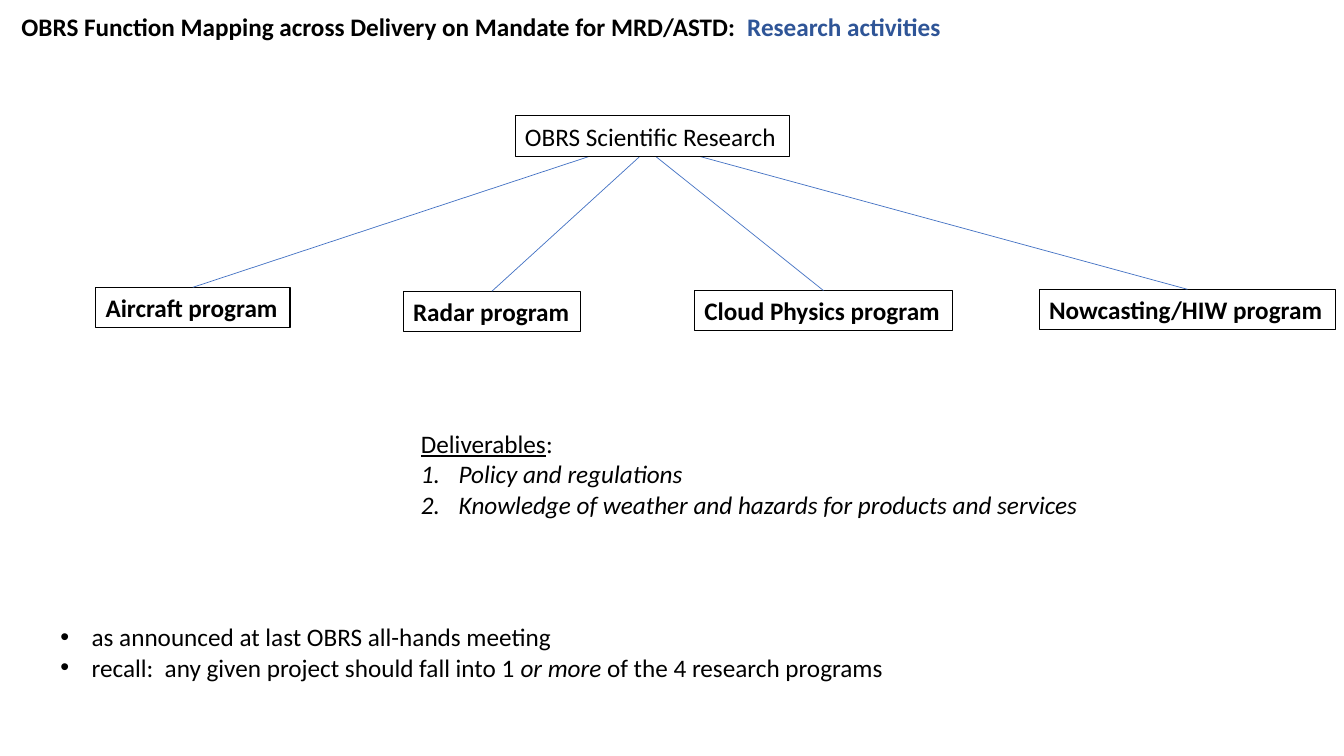
from lxml import etree
from pptx import Presentation
from pptx import util as u
from pptx.dml.color import RGBColor
from pptx.enum import shapes, text
from pptx.oxml.ns import qn

COLORS = {"text": "000000", "accent": "2F5597", "link": "4472C4", "box": "FFFFFF"}


class Board:
    font, size, box_height = "Calibri", u.Pt(18), 1.02

    def __init__(self, slide):
        self.s = slide

    def color(self, name):
        return RGBColor.from_string(COLORS[name])

    def place(self, sp, x, y, w, h):
        sp.left, sp.top, sp.width, sp.height = (u.Cm(v) for v in (x, y, w, h))

    def frame(self, sp, wrap=False):
        tf = sp.text_frame
        tf.word_wrap = wrap
        tf.auto_size = text.MSO_AUTO_SIZE.SHAPE_TO_FIT_TEXT
        tf.vertical_anchor = text.MSO_ANCHOR.TOP
        return tf

    def runs(self, p, parts):
        """Each part is (words, color, styles); styles holds any of b, i, u."""
        p.alignment = text.PP_ALIGN.LEFT
        for words, color, styles in parts:
            r = p.add_run()
            r.text = words
            f = r.font
            f.name, f.size = self.font, self.size
            f.color.rgb = self.color(color)
            f.bold, f.italic, f.underline = ("b" in styles, "i" in styles, "u" in styles)

    def title(self, parts, x, y, w, h):
        sp = self.s.shapes.title
        self.place(sp, x, y, w, h)
        tf = self.frame(sp, wrap=True)
        tf.margin_left = u.Cm(0.54)
        self.runs(tf.paragraphs[0], parts)

    def box(self, words, x, y, w, styles="", filled=False):
        sp = self.s.shapes.add_shape(
            shapes.MSO_SHAPE.RECTANGLE, *(u.Cm(v) for v in (x, y, w, self.box_height)))
        sp.shadow.inherit = False
        if filled:
            sp.fill.solid()
            sp.fill.fore_color.rgb = self.color("box")
        else:
            sp.fill.background()
        sp.line.color.rgb = self.color("text")
        sp.line.width = u.Pt(0.75)
        self.runs(self.frame(sp).paragraphs[0], [(words, "text", styles)])
        return sp

    def link(self, sp, x, y):
        """Line from the top middle of a box to a point."""
        c = self.s.shapes.add_connector(
            shapes.MSO_CONNECTOR.STRAIGHT, sp.left, sp.top, u.Cm(x), u.Cm(y))
        c.begin_connect(sp, 0)
        c.line.color.rgb = self.color("link")
        c.line.width = u.Pt(0.5)
        etree.SubElement(c._element.spPr, qn("a:effectLst"))

    def bullet(self, p, tag, indent, **attrs):
        pPr = p._p.get_or_add_pPr()
        pPr.set("marL", str(u.Cm(indent)))
        pPr.set("indent", str(-u.Cm(indent)))
        if tag == "a:buChar":
            etree.SubElement(pPr, qn("a:buFont")).set("typeface", "Arial")
        etree.SubElement(pPr, qn(tag), attrs)

    def text_list(self, items, x, y, w, h, indent, tag, **attrs):
        """Each item is (runs, whether it is marked)."""
        sp = self.s.shapes.add_textbox(*(u.Cm(v) for v in (x, y, w, h)))
        tf = self.frame(sp)
        for n, (parts, marked) in enumerate(items):
            p = tf.add_paragraph() if n else tf.paragraphs[0]
            if marked:
                self.bullet(p, tag, indent, **attrs)
            self.runs(p, parts)


def main():
    prs = Presentation()
    prs.slide_width, prs.slide_height = u.Cm(33.87), u.Cm(19.05)
    board = Board(prs.slides.add_slide(prs.slide_layouts[5]))

    # Title
    board.title([("OBRS Function Mapping across Delivery on Mandate for MRD/ASTD:  ", "text", "b"),
                 ("Research activities", "accent", "b")], 0, 0.15, 33.87, 1.02)

    # Programs, each linked to the research box: name, left, top, width, link end
    programs = [
        ("Aircraft program", 2.41, 7.24, 4.9, (15.34, 3.78)),
        ("Radar program", 10.16, 7.34, 4.47, (16.18, 3.89)),
        ("Cloud Physics program", 17.5, 7.32, 6.5, (16.46, 3.89)),
        ("Nowcasting/HIW program", 26.19, 7.29, 7.47, (17.15, 3.81)),
    ]
    for name, x, y, w, end in programs:
        board.link(board.box(name, x, y, w, "b"), *end)

    # Research box covers the link ends
    board.box("OBRS Scientific Research", 12.98, 2.92, 6.91, filled=True)

    # Deliverables
    board.text_list([
        ([("Deliverables", "text", "u"), (":", "text", "")], False),
        ([("Policy and regulations", "text", "i")], True),
        ([("Knowledge of weather and hazards for products and services", "text", "i")], True),
    ], 10.36, 10.67, 17.4, 2.57, 0.95, "a:buAutoNum", type="arabicPeriod")

    # Remarks
    board.text_list([
        ([("as announced at last OBRS all-hands meeting", "text", "")], True),
        ([("recall:  any given project should fall into 1 ", "text", ""),
          ("or more ", "text", "i"),
          ("of the 4 research programs", "text", "")], True),
    ], 1.27, 15.54, 21.64, 1.8, 0.79, "a:buChar", char="•")

    prs.save("out.pptx")


if __name__ == "__main__":
    main()
